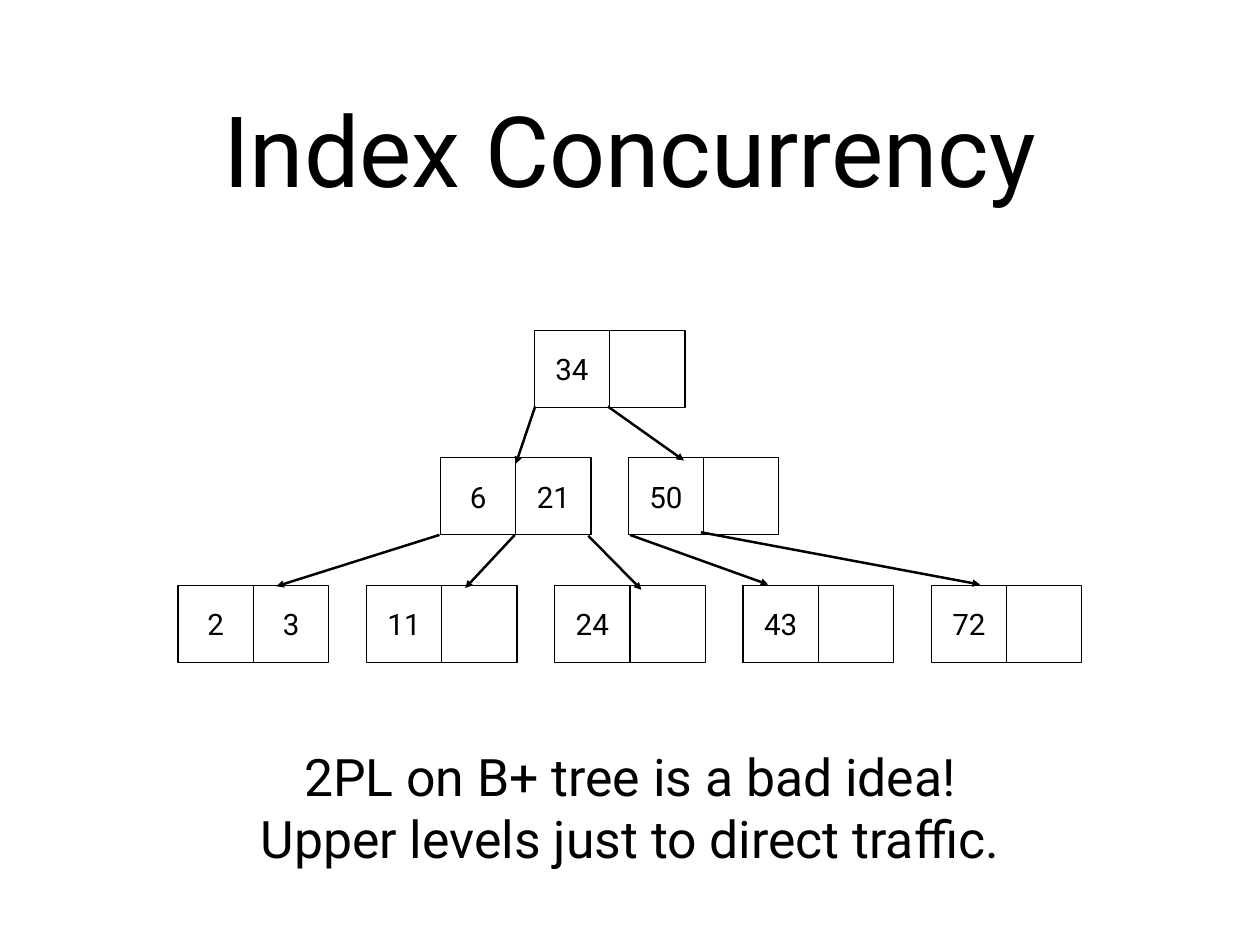
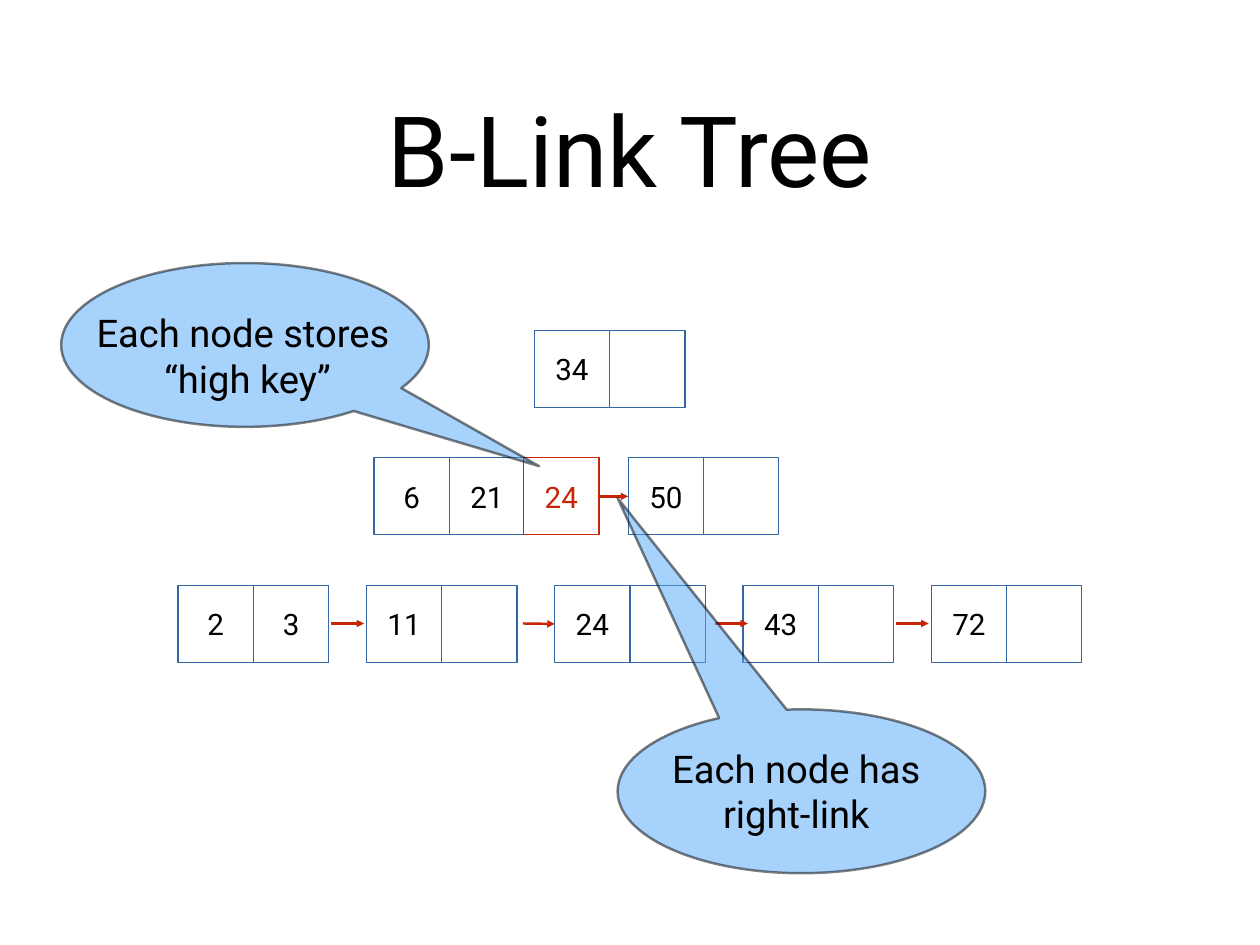
from lxml import etree
from pptx import Presentation
from pptx import util as u
from pptx.dml.color import RGBColor
from pptx.enum import shapes, text
from pptx.oxml.ns import qn

PX = 9144  # 100 px to the inch
FONT = "Roboto"
COLORS = {
    "ink": "000000",
    "paper": "FFFFFF",
    "edge": "3465A4",
    "link": "C82506",
    "callout": "51A7F9",
}
CELL_W, CELL_H = 85, 87
ROOT_Y, INNER_Y, LEAF_Y = 373, 517, 661
ROOT_X, RIGHT_INNER_X = 603, 709
LEAF_X, LEAF_PITCH = 201, 212.5
LEAVES = [("2", "3"), ("11", ""), ("24", ""), ("43", ""), ("72", "")]
LINK_W = 37


def px(*values):
    return [u.Emu(round(v * PX)) for v in values]


def rgb(name):
    return RGBColor.from_string(COLORS[name])


def write(shape, lines, size, color="ink", inset=0):
    """Fill a shape with centred lines of text."""
    tf = shape.text_frame
    tf.text = "\n".join(lines)
    tf.vertical_anchor = text.MSO_ANCHOR.MIDDLE
    tf.margin_left, tf.margin_top, tf.margin_right, tf.margin_bottom = px(*[inset] * 4)
    for p in tf.paragraphs:
        p.alignment = text.PP_ALIGN.CENTER
        for r in p.runs:
            r.font.name = FONT
            r.font.size = u.Pt(size)
            r.font.color.rgb = rgb(color)


def add_titled_slide(prs, title):
    s = prs.slides.add_slide(prs.slide_layouts[5])
    shape = s.shapes.title
    shape.left, shape.top, shape.width, shape.height = px(104, 49, 1214, 236)
    write(shape, [title], 80)
    return s


def add_text(s, box, lines, size):
    shape = s.shapes.add_textbox(*px(*box))
    write(shape, lines, size, inset=6)
    shape.text_frame.word_wrap = False
    shape.text_frame.auto_size = text.MSO_AUTO_SIZE.SHAPE_TO_FIT_TEXT


def add_shape(s, preset, box, fill, line, width):
    shape = s.shapes.add_shape(preset, *px(*box))
    shape.shadow.inherit = False
    shape.fill.solid()
    shape.fill.fore_color.rgb = rgb(fill)
    shape.line.color.rgb = rgb(line)
    shape.line.width = u.Pt(width)
    return shape


def add_cell(s, x, y, key, line, color="ink"):
    cell = add_shape(s, shapes.MSO_SHAPE.RECTANGLE, (x, y, CELL_W, CELL_H),
                     "paper", line, 1)
    write(cell, [key], 24, color)
    return cell


def add_node(s, x, y, keys, line):
    return [add_cell(s, x + i * CELL_W, y, key, line) for i, key in enumerate(keys)]


def add_tree(s, left_inner_x, line):
    """Draw all nodes; return the cells of the inner nodes and of the leaves."""
    add_node(s, ROOT_X, ROOT_Y, ("34", ""), line)
    inner = [add_node(s, left_inner_x, INNER_Y, ("6", "21"), line),
             add_node(s, RIGHT_INNER_X, INNER_Y, ("50", ""), line)]
    leaves = [add_node(s, LEAF_X + i * LEAF_PITCH, LEAF_Y, keys, line)
              for i, keys in enumerate(LEAVES)]
    return inner, leaves


def add_arrow(s, x1, y1, x2, y2, color):
    arrow = s.shapes.add_connector(shapes.MSO_CONNECTOR.STRAIGHT, *px(x1, y1, x2, y2))
    arrow.line.color.rgb = rgb(color)
    arrow.line.width = u.Pt(2)
    etree.SubElement(arrow.line._get_or_add_ln(), qn("a:tailEnd"), type="triangle")
    etree.SubElement(arrow._element.spPr, qn("a:effectLst"))
    return arrow


def add_callout(s, x, y, tip):
    """Draw a half-transparent callout; tip is its offset from the centre in widths."""
    shape = add_shape(s, shapes.MSO_SHAPE.OVAL_CALLOUT, (x, y, 415, 185),
                      "callout", "ink", 2)
    shape.adjustments[0], shape.adjustments[1] = tip
    for clr in shape._element.spPr.iter(qn("a:srgbClr")):
        etree.SubElement(clr, qn("a:alpha"), val="50000")


def build_concurrency(prs):
    s = add_titled_slide(prs, "Index Concurrency")
    add_tree(s, 497, "ink")
    for ends in [
        (604, 459, 582, 524), (686, 459, 772, 520),
        (496, 604, 312, 662), (581, 604, 525, 664), (664, 605, 724, 666),
        (711, 604, 867, 660), (791, 601, 1106, 660),
    ]:
        add_arrow(s, *ends, "ink")
    add_text(s, (283, 836, 856, 150),
             ["2PL on B+ tree is a bad idea!", "Upper levels just to direct traffic."], 42)


def build_blink_tree(prs):
    s = add_titled_slide(prs, "B-Link Tree")
    left_x = 422
    inner, leaves = add_tree(s, left_x, "edge")
    high_key = add_cell(s, left_x + 2 * CELL_W - 1, INNER_Y, "24", "link", "link")

    link = add_arrow(s, 674, 560, 711, 560, "link")
    link.begin_connect(high_key, 3)
    link.end_connect(inner[1][0], 1)
    leaf_links = [add_arrow(s, x, 704, x + LINK_W, 704, "link")
                  for x in (374, 590, 807, 1011)]
    leaf_links[1].end_connect(leaves[2][0], 1)

    add_callout(s, 697, 801, (-0.5, -1.79))
    add_callout(s, 69, 297, (0.8, 0.74))
    add_text(s, (93, 344, 373, 114), ["Each node stores ", "“high key”"], 31)
    add_text(s, (741, 836, 326, 114), ["Each node has ", "right-link "], 31)


def main():
    prs = Presentation()
    prs.slide_width, prs.slide_height = px(1422, 1067)
    build_concurrency(prs)
    build_blink_tree(prs)
    prs.save("out.pptx")


if __name__ == "__main__":
    main()
